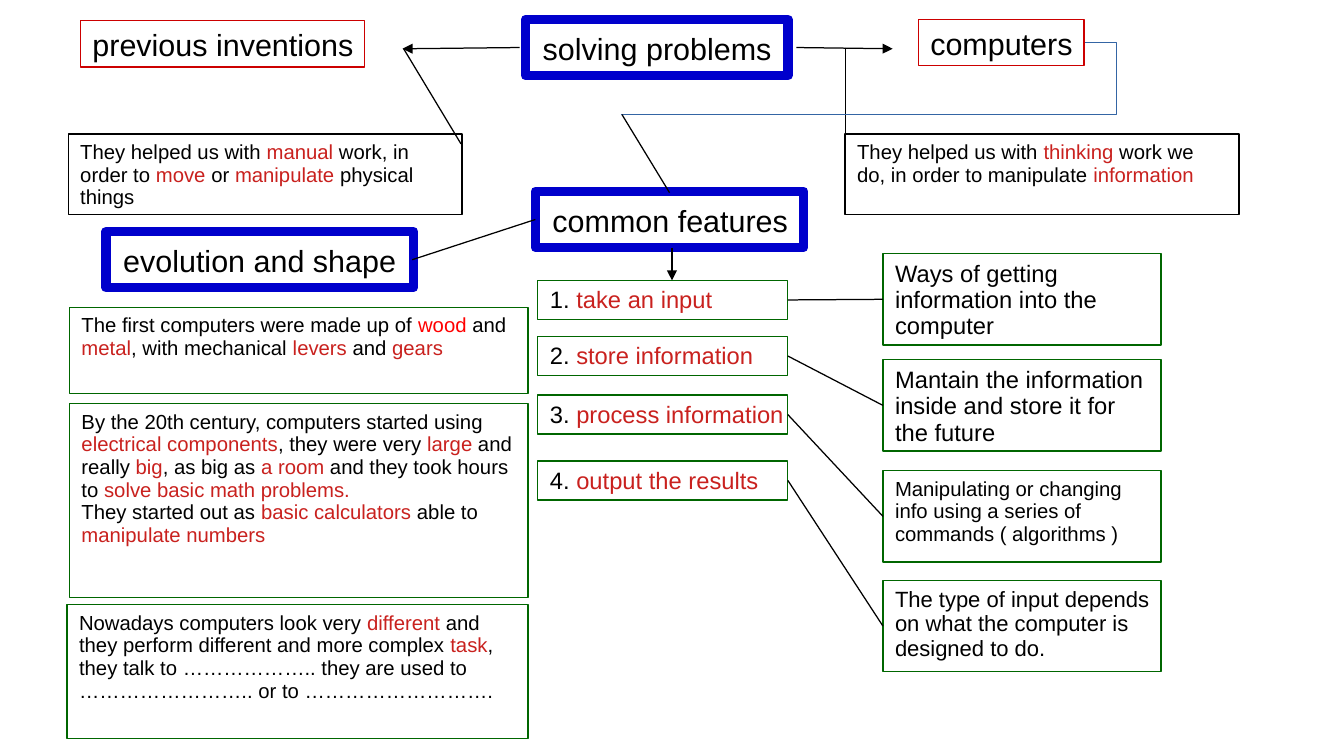
from lxml import etree
from pptx import Presentation, util as u
from pptx.dml.color import RGBColor
from pptx.enum import shapes, text
from pptx.oxml.ns import qn

BLACK, RED, PURE_RED = "000000", "C9211E", "FF0000"
BORDER_RED, BLUE, GREEN, STEEL = "CC0000", "0000CC", "006600", "3465A4"


def colour(code):
    """Turn a hex string into a colour."""
    return RGBColor.from_string(code)


class ConceptMap:
    """Draws boxes and links on a grid of tenth-inch columns and rows."""

    cell = u.Inches(0.1)
    font = "Arial"
    thin, thick = 0.75, 5.67

    def __init__(self, columns, rows):
        """Open a deck with one title-only page."""
        self.deck = Presentation()
        self.deck.slide_width, self.deck.slide_height = self.grid(columns, rows)
        self.page = self.deck.slides.add_slide(self.deck.slide_layouts[5])

    def grid(self, *counts):
        """Convert counts of grid cells into lengths."""
        return [round(count * self.cell) for count in counts]

    def outline(self, shape, code, width):
        """Give a shape or link a solid line."""
        shape.line.color.rgb = colour(code)
        shape.line.width = u.Pt(width)

    def fill_text(self, box, words, size, insets):
        """Fill a box with text in which | switches to red and back."""
        frame = box.text_frame
        frame.word_wrap = True
        frame.auto_size = text.MSO_AUTO_SIZE.NONE
        frame.vertical_anchor = text.MSO_ANCHOR.TOP
        (frame.margin_left, frame.margin_top,
         frame.margin_right, frame.margin_bottom) = self.grid(*insets)
        frame.text = words.replace("|", "")
        for para, line in zip(frame.paragraphs, words.split("\n")):
            para.alignment = text.PP_ALIGN.LEFT
            para.line_spacing = 0.93
            para.clear()
            for index, part in enumerate(line.split("|")):
                if part:
                    span = para.add_run()
                    span.text = part
                    span.font.name = self.font
                    span.font.size = u.Pt(size)
                    span.font.color.rgb = colour(RED if index % 2 else BLACK)

    def box(self, place, words, size=12, border=GREEN, insets=(1, 0.6, 1, 0.5)):
        """Add an outlined box with text."""
        box = self.page.shapes.add_shape(
            shapes.MSO_SHAPE.RECTANGLE, *self.grid(*place))
        box.shadow.inherit = False
        box.fill.background()
        self.outline(box, border, self.thin)
        self.fill_text(box, words, size, insets)
        return box

    def label(self, place, words, size=18, border=BORDER_RED, top=0.7):
        """Add a box holding a single line."""
        return self.box(place, words, size, border, (1, top, 0, 0.5))

    def frame_heading(self, box, words):
        """Style a box as a heading with a thick blue frame."""
        self.outline(box, BLUE, self.thick)
        self.fill_text(box, words, 18, (1.4, 1.1, 0, 0.9))

    def heading(self, place, words):
        """Add a heading box."""
        self.frame_heading(self.box(place, words), words)

    def title(self, place, words):
        """Place the page title as a heading box."""
        title = self.page.shapes.title
        title.left, title.top, title.width, title.height = self.grid(*place)
        self.frame_heading(title, words)

    def link(self, start, end, arrow=False, code=BLACK, bend=None):
        """Join two points with a straight or bent line."""
        kind = shapes.MSO_CONNECTOR.STRAIGHT if bend is None else shapes.MSO_CONNECTOR.ELBOW
        link = self.page.shapes.add_connector(kind, *self.grid(*start, *end))
        self.outline(link, code, self.thin)
        properties = link._element.spPr
        etree.SubElement(properties, qn("a:effectLst"))
        if arrow:
            stroke = properties.find(qn("a:ln"))
            etree.SubElement(stroke, qn("a:tailEnd"), type="triangle")
        if bend is not None:
            guides = properties.find(qn("a:prstGeom")).find(qn("a:avLst"))
            etree.SubElement(guides, qn("a:gd"), name="adj1", fmla=f"val {bend}")


def main():
    """Build the map of inventions and computers."""
    page = ConceptMap(110.2, 62)
    page.title((43.1, 1.6, 21.5, 4.6), "solving problems")
    page.label((6.6, 1.7, 23.3, 3.8), "previous inventions")
    page.label((75.3, 1.6, 13.6, 3.8), "computers")
    page.heading((43.9, 15.7, 22, 4.6), "common features")
    page.heading((8.7, 19, 25.2, 4.6), "evolution and shape")

    page.box((5.6, 11, 32.3, 6.6),
             "They helped us with |manual| work, in order to |move| or "
             "|manipulate| physical things", border=BLACK)
    page.box((69.3, 11, 32.3, 6.6),
             "They helped us with |thinking| work we do, in order to manipulate "
             "|information|", border=BLACK)

    early = page.box((5.7, 25.2, 37.6, 7.1),
                     "The first computers were made up of |wood| and |metal|, "
                     "with mechanical |levers| and |gears|")
    early.text_frame.paragraphs[0].runs[1].font.color.rgb = colour(PURE_RED)
    page.box((5.7, 33.1, 37.6, 15.9),
             "By the 20th century, computers started using |electrical components|, "
             "they were very |large| and really |big|, as big as |a room| and they "
             "took hours to |solve basic math problems.|\n"
             "They started out as |basic calculators| able to |manipulate numbers|")
    page.box((5.5, 49.6, 37.8, 11),
             "Nowadays computers look very |different| and they perform different "
             "and more complex |task|, they talk to ……………….. they are used to "
             "…………………….. or to ……………………….")

    features = [
        (23, "take an input", 20.8, 14,
         "Ways of getting information into the computer"),
        (27.6, "store information", 29.5, 14,
         "Mantain the information inside and store it for the future"),
        (32.4, "process information", 38.6, 12,
         "Manipulating or changing info using a series of commands ( algorithms )"),
        (37.8, "output the results", 47.6, 13,
         "The type of input depends on what the computer is designed to do."),
    ]
    for number, (top, feature, note_top, size, note) in enumerate(features, 1):
        page.label((44.1, top, 20.5, 3.2), f"{number}. |{feature}|", 14, GREEN, 0.6)
        page.box((72.4, note_top, 22.8, 7.5), note, size)
        page.link((64.6, top + 1.6), (72.4, note_top + 3.75))

    page.link((42.6, 3.9), (33, 4), arrow=True)
    page.link((65.3, 3.9), (73.2, 4), arrow=True)
    page.link((55.1, 20.3), (55.1, 23), arrow=True)
    page.link((33.1, 4), (37.8, 11.8))
    page.link((69.3, 3.9), (69.3, 11.8))
    page.link((89, 3.5), (50.9, 9.4), code=STEEL, bend=-6700)
    page.link((51, 9.4), (54.9, 15.8))
    page.link((43.9, 18), (33.8, 21.3))
    page.deck.save("out.pptx")


if __name__ == "__main__":
    main()
